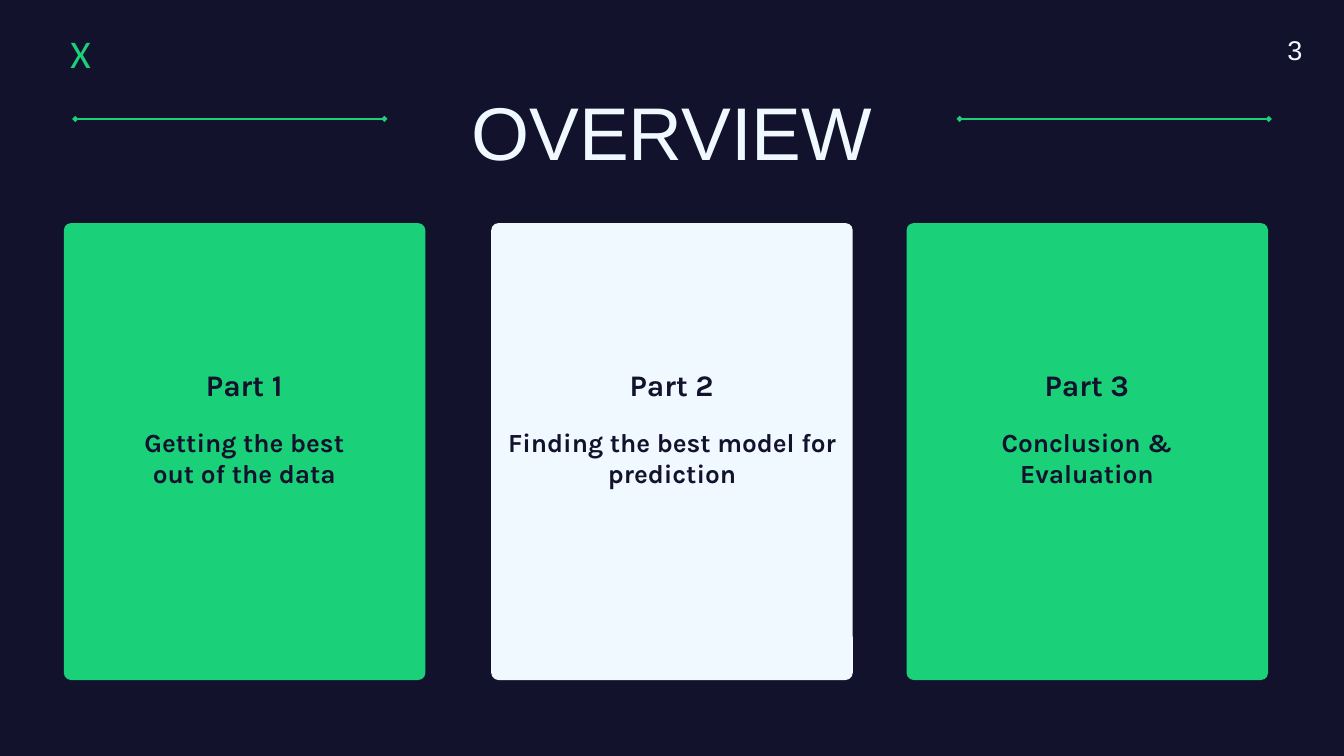
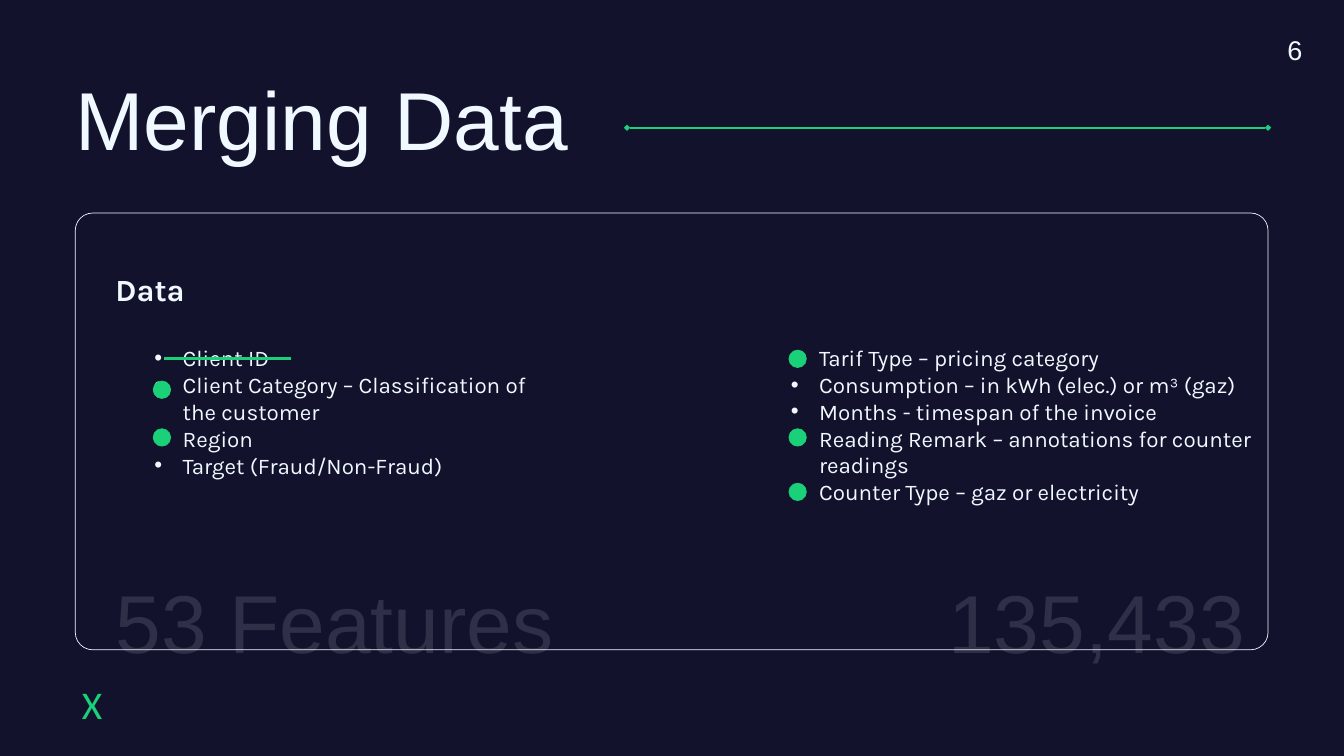
from dataclasses import dataclass, field
from typing import Any, NamedTuple

from lxml import etree
from pptx import Presentation
from pptx import util as u
from pptx.dml import color
from pptx.enum import shapes, text
from pptx.oxml import ns

PX = 9144
NAVY, GREEN, ICE, GHOST = "13122D", "1AD079", "F0F9FF", "302F48"
FIT = text.MSO_AUTO_SIZE.SHAPE_TO_FIT_TEXT
CENTER = text.PP_ALIGN.CENTER


class Area(NamedTuple):
    left: int
    top: int
    width: int
    height: int


class Style(NamedTuple):
    size: int
    font: str
    ink: str
    bold: bool = False


class Card(NamedTuple):
    left: int
    fill: str
    heading: str
    summary: str
    summary_width: int


class Dot(NamedTuple):
    left: int
    top: int


@dataclass
class Line:
    words: str
    style: Style
    bullet: bool = False
    layout: dict[str, Any] = field(default_factory=dict)


TITLE = Style(80, "Arial", ICE)
BIG_TITLE = Style(88, "Arial", ICE)
FIGURE = Style(88, "Arial", GHOST)
CARD_HEADING = Style(32, "Karla", NAVY, True)
CARD_SUMMARY = Style(28, "Karla", NAVY, True)
PANEL_HEADING = Style(33, "Karla", ICE, True)
BODY = Style(24, "Karla", ICE)
MARK = Style(42, "Calibri", GREEN)
NUMBER = Style(29, "Arial", ICE)

CARD_TOP, CARD_WIDTH, CARD_HEIGHT = 332, 538, 680
DOT_SIZE = 26

CARDS = [
    Card(95, GREEN, "Part 1", "Getting the best out of the data", 313),
    Card(731, ICE, "Part 2", "Finding the best model for prediction", 498),
    Card(1349, GREEN, "Part 3", "Conclusion & Evaluation", 313),
]
CLIENT_FIELDS = [
    "Client ID",
    "Client Category – Classification of the customer",
    "Region",
    "Target (Fraud/Non-Fraud)",
]
INVOICE_FIELDS = [
    "Tarif Type – pricing category",
    "Consumption – in kWh (elec.) or m³ (gaz)",
    "Months - timespan of the invoice",
    "Reading Remark – annotations for counter readings",
    "Counter Type – gaz or electricity",
]
DOTS = [Dot(228, 567), Dot(228, 638), Dot(1174, 521), Dot(1174, 638), Dot(1174, 719)]


def px(length: int) -> u.Emu:
    return u.Emu(length * PX)


def rgb(value: str) -> color.RGBColor:
    return color.RGBColor.from_string(value)


def assign(target: Any, values: dict[str, Any]) -> None:
    for name, value in values.items():
        setattr(target, name, value)


def add_page(deck: Any) -> Any:
    page = deck.slides.add_slide(deck.slide_layouts[6])
    page.background.fill.solid()
    page.background.fill.fore_color.rgb = rgb(NAVY)
    return page


def add_bullet(para: Any) -> None:
    settings = para._p.get_or_add_pPr()
    settings.set("marL", str(px(100)))
    settings.set("indent", str(px(-42)))
    tint = etree.SubElement(settings, ns.qn("a:buClr"))
    etree.SubElement(tint, ns.qn("a:srgbClr")).set("val", ICE)
    etree.SubElement(settings, ns.qn("a:buFont")).set("typeface", "Arial")
    etree.SubElement(settings, ns.qn("a:buChar")).set("char", "•")


def add_text(page: Any, area: Area, lines: list[Line],
             insets: tuple[int, int, int, int] = (0, 0, 0, 0), **frame_values: Any) -> None:
    frame = page.shapes.add_textbox(*map(px, area)).text_frame
    left, top, right, bottom = map(px, insets)
    assign(frame, {"word_wrap": True, "margin_left": left, "margin_top": top,
                   "margin_right": right, "margin_bottom": bottom} | frame_values)
    for index, line in enumerate(lines):
        para = frame.add_paragraph() if index else frame.paragraphs[0]
        if line.bullet:
            para.level = 1
            add_bullet(para)
        assign(para, line.layout)
        span = para.add_run()
        span.text = line.words
        assign(span.font, {"size": u.Pt(line.style.size), "name": line.style.font,
                           "bold": line.style.bold})
        span.font.color.rgb = rgb(line.style.ink)


def add_shape(page: Any, preset: Any, area: Area, fill: str | None = None,
              outline: str | None = None, rounding: float | None = None) -> None:
    box = page.shapes.add_shape(preset, *map(px, area))
    box.shadow.inherit = False
    if rounding is not None:
        box.adjustments[0] = rounding
    if fill:
        box.fill.solid()
        box.fill.fore_color.rgb = rgb(fill)
    else:
        box.fill.background()
    if outline:
        box.line.color.rgb = rgb(outline)
        box.line.width = u.Pt(0.75)
    else:
        box.line.fill.background()


def add_rule(page: Any, left: int, right: int, height: int,
             weight: float = 2.25, diamonds: bool = True) -> None:
    rule = page.shapes.add_connector(shapes.MSO_CONNECTOR.STRAIGHT,
                                     *map(px, (left, height, right, height)))
    rule.line.color.rgb = rgb(GREEN)
    rule.line.width = u.Pt(weight)
    properties = rule.element.spPr
    if diamonds:
        outline = properties.find(ns.qn("a:ln"))
        for end in ("a:headEnd", "a:tailEnd"):
            etree.SubElement(outline, ns.qn(end)).set("type", "diamond")
    etree.SubElement(properties, ns.qn("a:effectLst"))


def add_furniture(page: Any, number: str, mark_left: int, mark_top: int) -> None:
    add_text(page, Area(mark_left, mark_top, 194, 80), [Line("X", MARK)], (10, 10, 10, 10))
    add_text(page, Area(1715, 54, 233, 40),
             [Line(number, NUMBER, layout={"alignment": text.PP_ALIGN.RIGHT})],
             (10, 5, 10, 5), vertical_anchor=text.MSO_ANCHOR.MIDDLE)


def add_card(page: Any, card: Card) -> None:
    add_shape(page, shapes.MSO_SHAPE.ROUNDED_RECTANGLE,
              Area(card.left, CARD_TOP, CARD_WIDTH, CARD_HEIGHT), card.fill, rounding=0.02)
    heading = Line(card.heading, CARD_HEADING, layout={"alignment": CENTER, "line_spacing": 1.2})
    summary = Line(card.summary, CARD_SUMMARY, layout={"alignment": CENTER})
    for line, width, top, height in ((heading, 373, 535, 54),
                                     (summary, card.summary_width, 634, 94)):
        left = card.left + (CARD_WIDTH - width) // 2
        add_text(page, Area(left, top, width, height), [line], auto_size=FIT)


def build_overview(deck: Any) -> None:
    page = add_page(deck)
    for left in (112, 1428):
        add_rule(page, left, left + 460, 177)
    for card in CARDS:
        add_card(page, card)
    add_text(page, Area(644, 127, 712, 118),
             [Line("OVERVIEW", TITLE, layout={"alignment": CENTER})], auto_size=FIT)
    add_furniture(page, "3", 95, 34)


def build_merging(deck: Any) -> None:
    page = add_page(deck)
    for words, left, width in (("135,433", 1401, 528), ("53 Features", 162, 818)):
        add_text(page, Area(left, 840, width, 168), [Line(words, FIGURE)],
                 (10, 10, 10, 10), auto_size=FIT)
    add_shape(page, shapes.MSO_SHAPE.ROUNDED_RECTANGLE, Area(112, 317, 1775, 650),
              outline=ICE, rounding=0.04)

    client_lines = [Line(words, BODY, bullet=True) for words in CLIENT_FIELDS]
    client_lines[0].layout = {"space_before": u.Pt(39)}
    add_text(page, Area(162, 393, 676, 333), [Line("Data", PANEL_HEADING), *client_lines],
             (10, 10, 10, 10), auto_size=FIT)
    invoice_lines = [Line(words, BODY, bullet=True) for words in INVOICE_FIELDS]
    add_text(page, Area(1109, 393, 778, 374), invoice_lines, (10, 119, 10, 10), auto_size=FIT)

    add_rule(page, 244, 433, 534, weight=3, diamonds=False)
    for dot in DOTS:
        add_shape(page, shapes.MSO_SHAPE.OVAL, Area(dot.left, dot.top, DOT_SIZE, DOT_SIZE),
                  GREEN, GREEN)
    add_furniture(page, "6", 112, 1003)
    add_text(page, Area(112, 130, 1399, 119),
             [Line("Merging Data", BIG_TITLE, layout={"line_spacing": 0.8})], auto_size=FIT)
    add_rule(page, 933, 1887, 190)


def main() -> None:
    deck = Presentation()
    assign(deck, {"slide_width": px(2000), "slide_height": px(1125)})
    build_overview(deck)
    build_merging(deck)
    deck.save("out.pptx")


if __name__ == "__main__":
    main()
